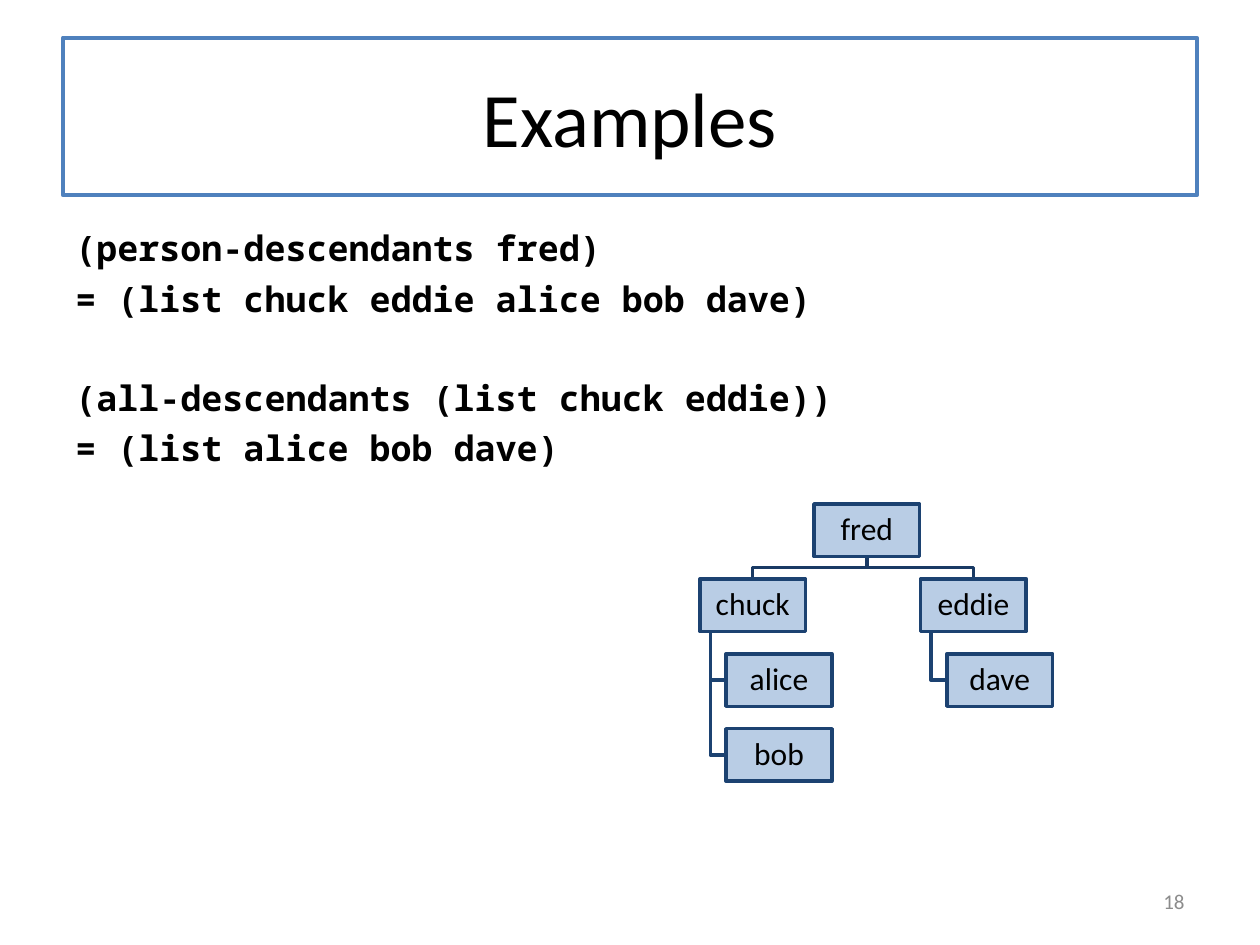
from pptx import Presentation
from pptx.dml.color import RGBColor
from pptx.enum.shapes import MSO_SHAPE
from pptx.enum.text import MSO_ANCHOR, PP_ALIGN
from pptx.util import Cm, Pt

BLACK = RGBColor(0x00, 0x00, 0x00)
WHITE = RGBColor(0xFF, 0xFF, 0xFF)
GRAY = RGBColor(0x8C, 0x8C, 0x8C)
TITLE_BLUE = RGBColor(0x4F, 0x81, 0xBD)
NODE_FILL = RGBColor(0xB9, 0xCD, 0xE5)
NODE_LINE = RGBColor(0x1C, 0x42, 0x71)
TOP_LINK = RGBColor(0x19, 0x3A, 0x64)

TITLE_FONT = {"name": "Calibri", "size": Pt(44)}
CODE_FONT = {"name": "Noto Sans Mono", "size": Pt(20), "bold": True}
NODE_FONT = {"name": "Calibri", "size": Pt(18)}
NUMBER_FONT = {"name": "Calibri", "size": Pt(12)}

# Code lines, grouped by example
EXAMPLES = [
    ["(person-descendants fred)", "= (list chuck eddie alice bob dave)"],
    ["(all-descendants (list chuck eddie))", "= (list alice bob dave)"],
]

# Family tree: each child of the root with its own children
ROOT = "fred"
CHILDREN = {"chuck": ["alice", "bob"], "eddie": ["dave"]}
NODE_W, NODE_H = Cm(2.13), Cm(1.06)
ROW_STEP, BRANCH_STEP = Cm(1.51), Cm(4.45)
ROOT_X, INDENT, TRUNK_X = Cm(2.3), Cm(0.53), Cm(0.21)


def write(p, text, fmt, color=BLACK, align=PP_ALIGN.LEFT):
    p.alignment = align
    r = p.add_run()
    r.text = text
    for key, value in fmt.items():
        setattr(r.font, key, value)
    r.font.color.rgb = color


def add_box(shapes, x, y, w, h, fill, line, width, text, fmt):
    sp = shapes.add_shape(MSO_SHAPE.RECTANGLE, x, y, w, h)
    sp.shadow.inherit = False
    sp.fill.solid()
    sp.fill.fore_color.rgb = fill
    sp.line.color.rgb = line
    sp.line.width = Pt(width)
    tf = sp.text_frame
    tf.vertical_anchor = MSO_ANCHOR.MIDDLE
    write(tf.paragraphs[0], text, fmt, align=PP_ALIGN.CENTER)
    return sp


def add_title(s, x, y, w, h):
    add_box(s.shapes, x, y, w, h, WHITE, TITLE_BLUE, 2.25, "Examples", TITLE_FONT)


def add_code(s, x, y, w, h):
    tf = s.shapes.add_textbox(x, y, w, h).text_frame
    tf.word_wrap = True
    for i, example in enumerate(EXAMPLES):
        for j, text in enumerate(example):
            if i == j == 0:
                p = tf.paragraphs[0]
            else:
                p = tf.add_paragraph()
                p.space_before = Pt(4.7 if j else 32.7)
            write(p, text, CODE_FONT)


def add_link(shapes, points, color):
    builder = shapes.build_freeform(*points[0], scale=1.0)
    builder.add_line_segments(points[1:], close=False)
    sp = builder.convert_to_shape()
    sp.shadow.inherit = False
    sp.fill.background()
    sp.line.color.rgb = color
    sp.line.width = Pt(2)


def add_node(shapes, x, y, name):
    sp = add_box(shapes, x, y, NODE_W, NODE_H, NODE_FILL, NODE_LINE, 2, name, NODE_FONT)
    tf = sp.text_frame
    for side in ("left", "top", "right", "bottom"):
        setattr(tf, f"margin_{side}", Cm(0.03))
    tf.word_wrap = True
    tf.paragraphs[0].line_spacing = 0.9


def add_tree(s, x, y):
    shapes = s.shapes.add_group_shape().shapes
    nodes = [(x + ROOT_X, y, ROOT)]
    root_mid, root_bottom = x + ROOT_X + NODE_W // 2, y + NODE_H
    child_y = y + ROW_STEP
    bend_y = (root_bottom + child_y) // 2

    for i, (child, grandchildren) in enumerate(CHILDREN.items()):
        child_x = x + i * BRANCH_STEP
        child_mid, trunk = child_x + NODE_W // 2, child_x + TRUNK_X
        nodes.append((child_x, child_y, child))
        # Bent line from the root down to this child
        add_link(shapes, [(root_mid, root_bottom), (root_mid, bend_y),
                          (child_mid, bend_y), (child_mid, child_y)], TOP_LINK)
        # Hanging list of grandchildren
        for j, name in enumerate(grandchildren, 1):
            leaf_x, leaf_y = child_x + INDENT, child_y + j * ROW_STEP
            leaf_mid = leaf_y + NODE_H // 2
            nodes.append((leaf_x, leaf_y, name))
            add_link(shapes, [(trunk, child_y + NODE_H), (trunk, leaf_mid),
                              (leaf_x, leaf_mid)], NODE_LINE)

    # Boxes lie above the links
    for node in nodes:
        add_node(shapes, *node)


def add_slide_number(s, x, y, w, h):
    tf = s.shapes.add_textbox(x, y, w, h).text_frame
    tf.word_wrap = True
    tf.vertical_anchor = MSO_ANCHOR.MIDDLE
    write(tf.paragraphs[0], "18", NUMBER_FONT, GRAY, PP_ALIGN.RIGHT)


def main():
    prs = Presentation()
    prs.slide_width, prs.slide_height = Cm(25.4), Cm(19.05)
    s = prs.slides.add_slide(prs.slide_layouts[6])
    add_title(s, Cm(1.27), Cm(0.76), Cm(22.86), Cm(3.18))
    add_code(s, Cm(1.27), Cm(4.45), Cm(22.86), Cm(12.57))
    add_tree(s, Cm(14.11), Cm(10.16))
    add_slide_number(s, Cm(18.2), Cm(17.66), Cm(5.93), Cm(1.01))
    prs.save("out.pptx")


if __name__ == "__main__":
    main()
